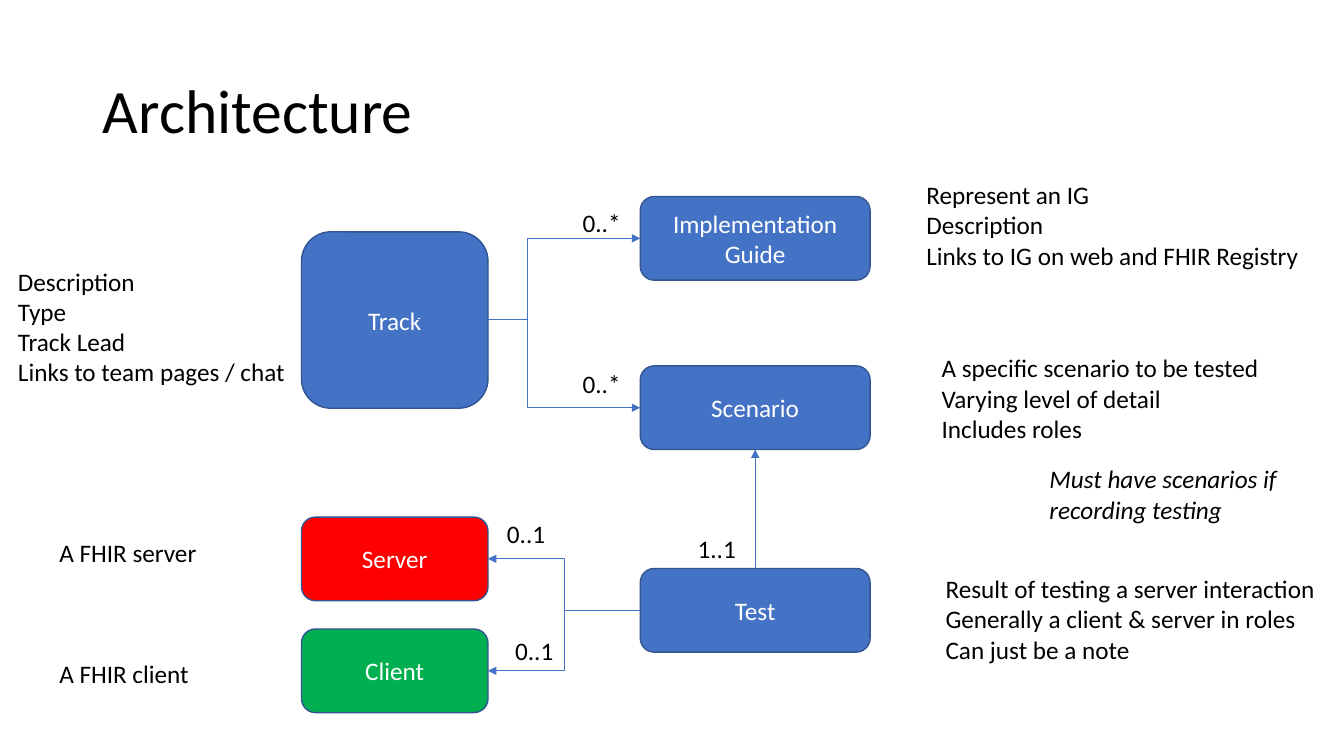
import pptx
import pptx.util
import pptx.dml.color
import pptx.enum.shapes
import pptx.enum.text
import pptx.oxml
import pptx.oxml.ns

PX = 9144
FONT = "Calibri"
RGBColor = pptx.dml.color.RGBColor
BLACK = RGBColor(0x00, 0x00, 0x00)
WHITE = RGBColor(0xFF, 0xFF, 0xFF)
BLUE = RGBColor(0x44, 0x72, 0xC4)
DARK_BLUE = RGBColor(0x32, 0x54, 0x91)
RED = RGBColor(0xFF, 0x00, 0x00)
GREEN = RGBColor(0x00, 0xB0, 0x50)

ENTITY_WIDTH, ENTITY_HEIGHT = 228, 83
ROLE_WIDTH = 185
ENTITY_LEFT = 336
LEFT_SITE, BOTTOM_SITE, RIGHT_SITE = 1, 2, 3
ELBOW = pptx.enum.shapes.MSO_CONNECTOR.ELBOW
STRAIGHT = pptx.enum.shapes.MSO_CONNECTOR.STRAIGHT


def emu(*lengths):
    return [pptx.util.Emu(length * PX) for length in lengths]


def add_run(paragraph, text, size=18, color=BLACK, italic=None):
    run = paragraph.add_run()
    run.text = text
    run.font.name = FONT
    run.font.size = pptx.util.Pt(size)
    run.font.color.rgb = color
    run.font.italic = italic


def add_note(slide, left, top, width, height, lines, wrap=False, italic=None):
    shape = slide.shapes.add_textbox(*emu(left, top, width, height))
    frame = shape.text_frame
    frame.word_wrap = wrap
    frame.auto_size = pptx.enum.text.MSO_AUTO_SIZE.SHAPE_TO_FIT_TEXT
    for index, line in enumerate(lines):
        paragraph = frame.add_paragraph() if index else frame.paragraphs[0]
        add_run(paragraph, line, italic=italic)


def add_multiplicity(slide, left, top, text):
    add_note(slide, left, top, 58, 40, [text])


def add_entity(slide, left, top, text, width=ENTITY_WIDTH, height=ENTITY_HEIGHT, color=BLUE):
    shape = slide.shapes.add_shape(
        pptx.enum.shapes.MSO_SHAPE.ROUNDED_RECTANGLE, *emu(left, top, width, height))
    shape.shadow.inherit = False
    shape.fill.solid()
    shape.fill.fore_color.rgb = color
    shape.line.color.rgb = DARK_BLUE
    shape.line.width = pptx.util.Pt(1)
    frame = shape.text_frame
    frame.word_wrap = True
    frame.vertical_anchor = pptx.enum.text.MSO_ANCHOR.MIDDLE
    paragraph = frame.paragraphs[0]
    paragraph.alignment = pptx.enum.text.PP_ALIGN.CENTER
    add_run(paragraph, text, color=WHITE)
    return shape


def add_arrow(slide, kind, start, target, site):
    connector = slide.shapes.add_connector(kind, *emu(*start, *start))
    connector.end_connect(target, site)
    connector.line.color.rgb = BLUE
    connector.line.width = pptx.util.Pt(0.5)
    namespace = pptx.oxml.ns.nsdecls("a")
    properties = connector.element.spPr
    line = properties.find(pptx.oxml.ns.qn("a:ln"))
    line.append(pptx.oxml.parse_xml(f'<a:tailEnd {namespace} type="triangle"/>'))
    properties.append(pptx.oxml.parse_xml(f"<a:effectLst {namespace}/>"))


def draw_title(slide, left, top, width, height):
    title = slide.shapes.title
    title.left, title.top, title.width, title.height = emu(left, top, width, height)
    frame = title.text_frame
    frame.auto_size = pptx.enum.text.MSO_AUTO_SIZE.NONE
    frame.vertical_anchor = pptx.enum.text.MSO_ANCHOR.MIDDLE
    paragraph = frame.paragraphs[0]
    paragraph.alignment = pptx.enum.text.PP_ALIGN.LEFT
    paragraph.line_spacing = 0.9
    add_run(paragraph, "Architecture", size=44)


def draw_track(slide, left, top):
    add_entity(slide, left, top + 35, "Track", ROLE_WIDTH, 175)
    guide = add_entity(slide, left + ENTITY_LEFT, top, "Implementation Guide")
    scenario = add_entity(slide, left + ENTITY_LEFT, top + 168, "Scenario")
    for target, label_top in ((guide, 6), (scenario, 166)):
        add_arrow(slide, ELBOW, (left + 112, top + 122), target, LEFT_SITE)
        add_multiplicity(slide, left + 269, top + label_top, "0..*")
    return scenario


def draw_test(slide, left, top, scenario):
    test_left, test_top = left + ENTITY_LEFT, top + 51
    add_entity(slide, test_left, test_top, "Test")
    add_arrow(slide, STRAIGHT, (test_left + ENTITY_WIDTH // 2, test_top), scenario, BOTTOM_SITE)
    add_multiplicity(slide, left + 383, top + 11, "1..1")
    roles = (("Server", RED, 0, 194, -4), ("Client", GREEN, 111, 202, 112))
    for name, color, role_top, label_left, label_top in roles:
        role = add_entity(slide, left, top + role_top, name, ROLE_WIDTH, color=color)
        add_arrow(slide, ELBOW, (test_left, test_top + ENTITY_HEIGHT // 2 + 1), role, RIGHT_SITE)
        add_multiplicity(slide, left + label_left, top + label_top, "0..1")


def draw_left_notes(slide, left, top):
    add_note(slide, left, top, 300, 131,
             ["Description", "Type", "Track Lead", "Links to team pages / chat"], wrap=True)
    add_note(slide, left + 41, top + 269, 158, 40, ["A FHIR server"])
    add_note(slide, left + 41, top + 389, 150, 40, ["A FHIR client"])


def draw_right_notes(slide, left, top):
    add_note(slide, left, top, 394, 101,
             ["Represent an IG", "Description", "Links to IG on web and FHIR Registry"])
    add_note(slide, left + 15, top + 172, 338, 101,
             ["A specific scenario to be tested", "Varying level of detail", "Includes roles"])
    add_note(slide, left + 122, top + 282, 251, 73,
             ["Must have scenarios if recording testing"], wrap=True, italic=True)
    add_note(slide, left + 19, top + 391, 391, 101,
             ["Result of testing a server interaction",
              "Generally a client & server in roles", "Can just be a note"])


def main():
    presentation = pptx.Presentation()
    presentation.slide_width, presentation.slide_height = emu(1333, 750)
    slide = presentation.slides.add_slide(presentation.slide_layouts.get_by_name("Title Only"))
    draw_title(slide, 92, 40, 1150, 145)
    scenario = draw_track(slide, 299, 195)
    draw_test(slide, 299, 513, scenario)
    draw_left_notes(slide, 8, 259)
    draw_right_notes(slide, 909, 173)
    presentation.save("out.pptx")


if __name__ == "__main__":
    main()
